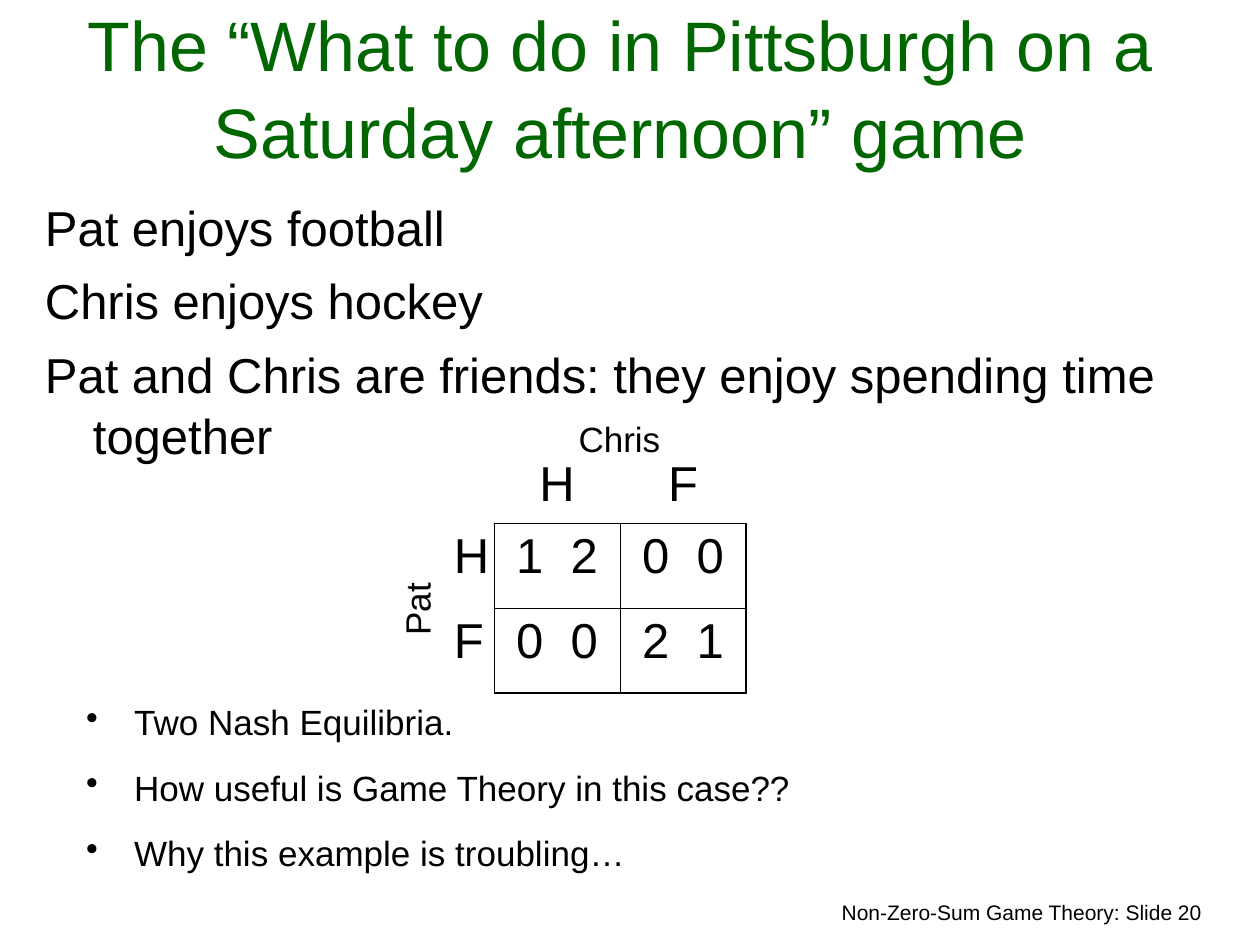
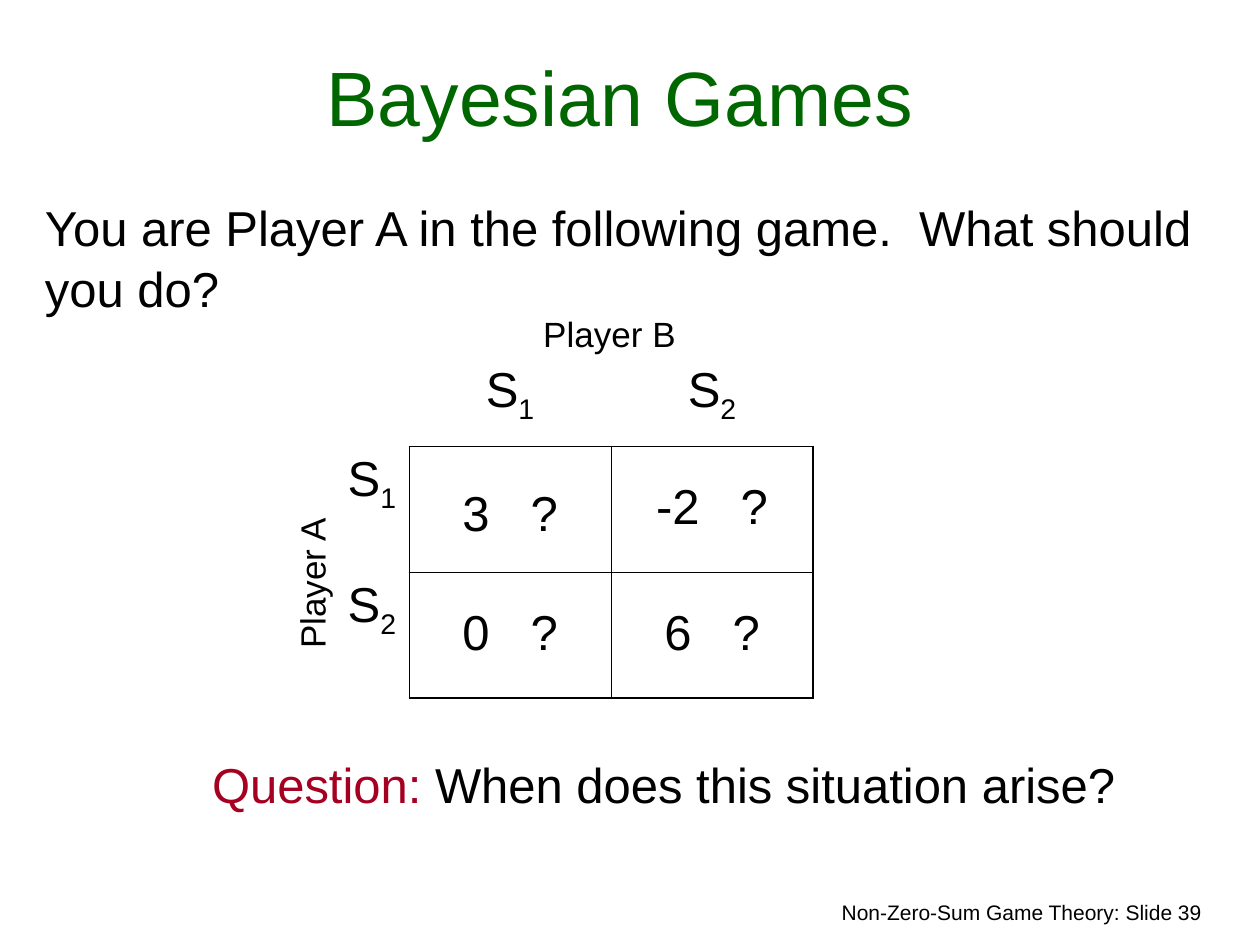
"""Builds two game theory slides, each with a payoff matrix."""
from dataclasses import dataclass

from lxml import etree
from pptx import Presentation
from pptx.dml.color import RGBColor
from pptx.enum.text import MSO_ANCHOR, MSO_AUTO_SIZE, PP_ALIGN
from pptx.oxml.ns import qn
from pptx.util import Emu, Pt

LEFT, CENTER, RIGHT = PP_ALIGN.LEFT, PP_ALIGN.CENTER, PP_ALIGN.RIGHT
TOP, BOTTOM = MSO_ANCHOR.TOP, MSO_ANCHOR.BOTTOM
NO_AUTOFIT = MSO_AUTO_SIZE.NONE
EMU_PER_PX = 914400 / 126


@dataclass(frozen=True)
class Theme:
    """Colours, type sizes and spacing shared by the slides."""
    font: str = "Arial"
    text: str = "000000"
    title: str = "006600"
    accent: str = "A50021"
    body_size: int = 28
    label_size: int = 20
    footer_size: int = 12
    line_spacing: float = 1.04
    body_gap: float = 7
    bullet_gap: float = 12.5
    space_width: float = 0.28
    thin: float = 0.45
    thick: float = 1.08
    inset_x: int = 13
    inset_y: int = 6
    hanging: int = 48


THEME = Theme()
SLIDE_SIZE = (1260, 945)
FOOTER_BOX = (721, 893, 494, 38)
FOOTER = "Non-Zero-Sum Game Theory: Slide {}"


def sub(number):
    """Return the runs of strategy S with its subscript."""
    return ["S", (number, {"baseline": -25000})]


def spaced(first, second, spaces):
    """Return two texts parted by one space as wide as several."""
    extra = round((spaces - 1) * THEME.space_width * THEME.body_size * 100)
    return [first, (" ", {"spc": extra}), second]


SLIDES = [
    {
        "number": 20,
        "title": ("The “What to do in Pittsburgh on a Saturday afternoon” game", 40, (32, 32, 1176, 147)),
        "matrix": {
            "at": (441, 451), "columns": (53, 126, 126), "rows": (72, 85, 85),
            "strategies": (["H"], ["F"]), "row_align": CENTER, "spaces": 2,
            "payoffs": ((("1", "2"), ("0", "0")), (("0", "0"), ("2", "1"))),
            "drops": ((0, 0), (0, 0)),
        },
        "texts": [
            {"box": (32, 189, 1182, 284), "hanging": True, "gap": THEME.body_gap, "paragraphs": [
                ["Pat enjoys football"],
                ["Chris enjoys hockey"],
                ["Pat and Chris are friends: they enjoy spending time together"]]},
            {"box": (525, 410, 189, 55), "size": THEME.label_size, "align": CENTER, "hanging": True,
             "paragraphs": [["Chris"]]},
            {"box": (321, 582, 189, 55), "size": THEME.label_size, "align": CENTER, "hanging": True,
             "rotation": 270, "paragraphs": [["Pat"]]},
            {"box": (73, 693, 1113, 183), "size": THEME.label_size, "hanging": True, "bullet": "•",
             "gap": THEME.bullet_gap, "paragraphs": [
                 ["Two Nash Equilibria."],
                 ["How useful is Game Theory in this case??"],
                 ["Why this example is troubling…"]]},
        ],
    },
    {
        "number": 39,
        "title": ("Bayesian Games", 44, (32, 32, 1176, 116)),
        "matrix": {
            "at": (325, 357), "columns": (84, 202, 202), "rows": (89, 126, 126),
            "strategies": (sub("1"), sub("2")), "row_align": RIGHT, "spaces": 3,
            "payoffs": ((("3", "?"), ("-2", "?")), (("0", "?"), ("6", "?"))),
            "drops": ((35, 28), (28, 28)),
        },
        "texts": [
            {"box": (32, 189, 1182, 168), "paragraphs": [
                spaced("You are Player A in the following game.", "What should you do?", 2)]},
            {"box": (410, 305, 399, 55), "size": THEME.label_size, "align": CENTER, "hanging": True,
             "paragraphs": [["Player B"]]},
            {"box": (111, 435, 399, 55), "size": THEME.label_size, "hanging": True, "rotation": 270,
             "paragraphs": [["Player A"]]},
            {"box": (199, 746, 987, 72), "hanging": True, "paragraphs": [
                [("Question:", {"color": THEME.accent}), " When does this situation arise?"]]},
        ],
    },
]


def px(length):
    """Convert pixels to EMU."""
    return Emu(round(length * EMU_PER_PX))


def add_runs(paragraph, runs, size, color=THEME.text):
    """Add plain or (text, style) runs to a paragraph."""
    for item in runs:
        text, style = (item, {}) if isinstance(item, str) else item
        run = paragraph.add_run()
        run.text = text
        run.font.name = THEME.font
        run.font.size = Pt(size)
        run.font.color.rgb = RGBColor.from_string(style.get("color", color))
        for attribute in style.keys() & {"baseline", "spc"}:
            run._r.get_or_add_rPr().set(attribute, str(style[attribute]))


def set_insets(target, drop=0):
    """Set the inner margins of a text frame or cell."""
    target.margin_left = target.margin_right = px(THEME.inset_x)
    target.margin_top = px(THEME.inset_y + drop)
    target.margin_bottom = px(THEME.inset_y)


def prepare_frame(frame, anchor):
    """Make a text frame wrap at a fixed size."""
    frame.word_wrap = True
    frame.auto_size = NO_AUTOFIT
    frame.vertical_anchor = anchor
    set_insets(frame)


def indent_paragraph(paragraph, bullet):
    """Give a paragraph a hanging indent and, if asked, a bullet."""
    properties = paragraph._p.get_or_add_pPr()
    properties.set("marL", str(px(THEME.hanging)))
    properties.set("indent", str(px(-THEME.hanging)))
    if bullet:
        color = etree.SubElement(properties, qn("a:buClr"))
        etree.SubElement(color, qn("a:srgbClr"), val=THEME.text)
        etree.SubElement(properties, qn("a:buChar"), char=bullet)


def add_text(slide, box, paragraphs, size=THEME.body_size, align=LEFT, hanging=False,
             bullet=None, gap=0, rotation=0):
    """Add a text box with one or more paragraphs."""
    text_box = slide.shapes.add_textbox(*map(px, box))
    text_box.rotation = rotation
    frame = text_box.text_frame
    prepare_frame(frame, TOP)
    for index, runs in enumerate(paragraphs):
        paragraph = frame.add_paragraph() if index else frame.paragraphs[0]
        if hanging:
            indent_paragraph(paragraph, bullet)
        paragraph.alignment = align
        paragraph.line_spacing = THEME.line_spacing
        paragraph.space_before = Pt(gap if index else 0)
        add_runs(paragraph, runs, size)


def set_title(slide, text, size, box):
    """Place and format the title placeholder."""
    title = slide.shapes.title
    title.left, title.top, title.width, title.height = map(px, box)
    prepare_frame(title.text_frame, BOTTOM)
    paragraph = title.text_frame.paragraphs[0]
    paragraph.alignment = CENTER
    paragraph.line_spacing = THEME.line_spacing
    add_runs(paragraph, [text], size, THEME.title)


def set_borders(cell, row, column, last):
    """Rule the payoff cells, with heavier right and bottom edges."""
    edges = (("a:lnL", column, row), ("a:lnR", column + 1, row),
             ("a:lnT", row, column), ("a:lnB", row + 1, column))
    properties = cell._tc.get_or_add_tcPr()
    for position, (tag, edge, lane) in enumerate(edges):
        width = THEME.thick if edge > last else THEME.thin
        line = etree.Element(qn(tag), w=str(Pt(width)))
        if edge and lane:
            fill = etree.SubElement(line, qn("a:solidFill"))
            etree.SubElement(fill, qn("a:srgbClr"), val=THEME.text)
        else:
            etree.SubElement(line, qn("a:noFill"))
        properties.insert(position, line)


def add_matrix(slide, at, columns, rows, strategies, row_align, spaces, payoffs, drops):
    """Add a payoff matrix with strategies along its top and left."""
    box = (*at, sum(columns), sum(rows))
    table = slide.shapes.add_table(len(rows), len(columns), *map(px, box)).table
    table.first_row = table.horz_banding = False
    for column, width in zip(table.columns, columns):
        column.width = px(width)
    for row, height in zip(table.rows, rows):
        row.height = px(height)
    for r in range(len(rows)):
        for c in range(len(columns)):
            cell = table.cell(r, c)
            cell.fill.background()
            set_insets(cell, drops[r - 1][c - 1] if r and c else 0)
            set_borders(cell, r, c, len(rows) - 1)
            if r and c:
                runs = spaced(*payoffs[r - 1][c - 1], spaces)
            else:
                runs = strategies[r + c - 1] if r + c else []
            paragraph = cell.text_frame.paragraphs[0]
            paragraph.alignment = CENTER if c else row_align
            add_runs(paragraph, runs, THEME.body_size)


def main():
    """Build and save the slides."""
    deck = Presentation()
    deck.slide_width, deck.slide_height = map(px, SLIDE_SIZE)
    title_only = deck.slide_layouts.get_by_name("Title Only")
    for content in SLIDES:
        slide = deck.slides.add_slide(title_only)
        add_text(slide, FOOTER_BOX, [[FOOTER.format(content["number"])]], THEME.footer_size, RIGHT)
        set_title(slide, *content["title"])
        add_matrix(slide, **content["matrix"])
        for text in content["texts"]:
            add_text(slide, **text)
    deck.save("out.pptx")


if __name__ == "__main__":
    main()
